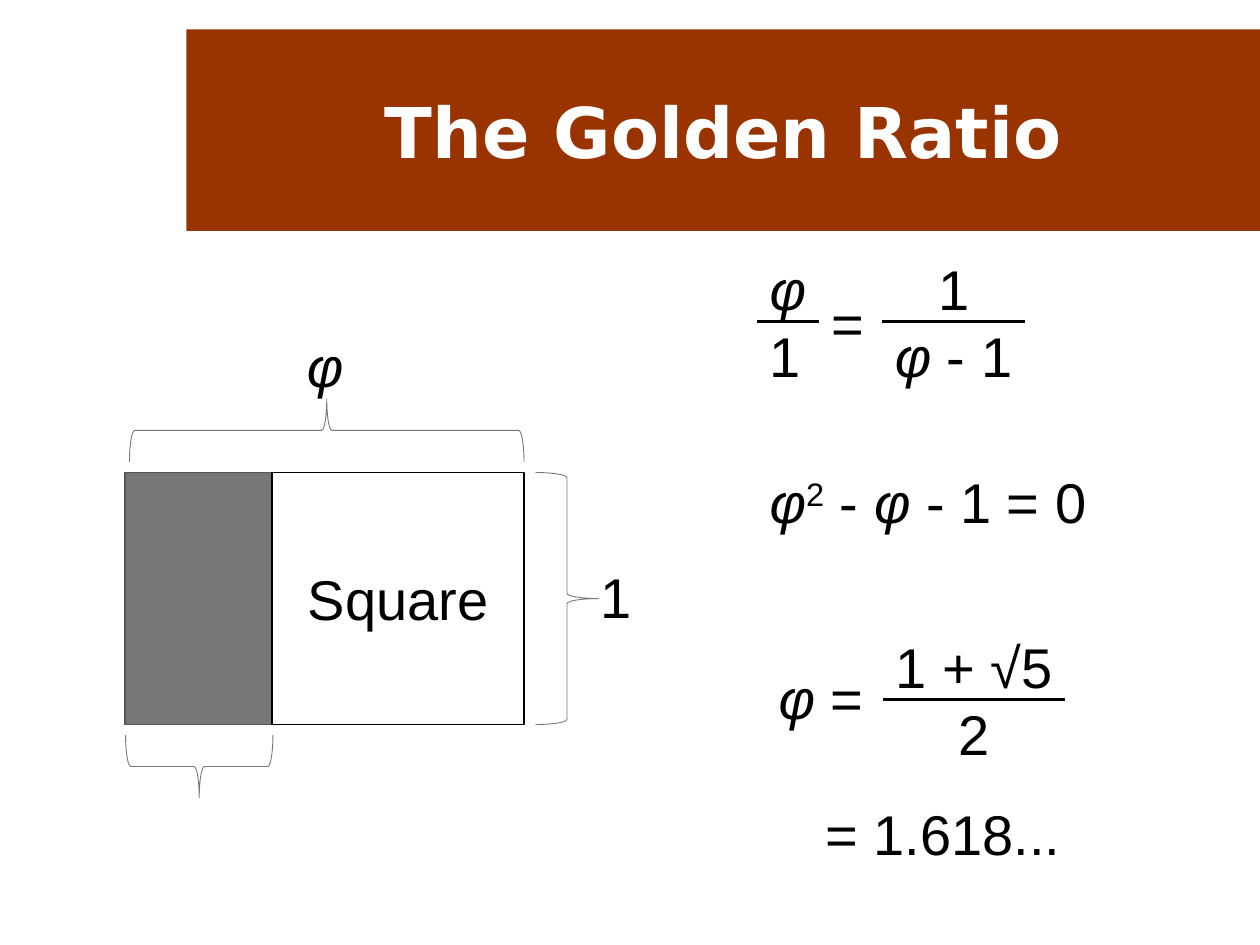
from dataclasses import dataclass

from lxml import etree
from pptx import Presentation
from pptx.dml.color import RGBColor
from pptx.enum import shapes, text
from pptx.oxml import ns
from pptx.util import Pt

COLORS = {"banner": "993300", "white": "FFFFFF", "black": "000000",
          "gray": "777777", "edge": "565656"}
BODY_FONT, BODY_SIZE = "Arial", 32
PHI = "φ"
LEFT, CENTER = text.PP_ALIGN.LEFT, text.PP_ALIGN.CENTER


@dataclass(frozen=True)
class Box:
    left: float
    top: float
    width: float
    height: float

    def lengths(self) -> list:
        return [Pt(v) for v in (self.left, self.top, self.width, self.height)]


@dataclass(frozen=True)
class Formula:
    box: Box
    lines: tuple
    align: text.PP_ALIGN = LEFT
    fraction: bool = False


@dataclass(frozen=True)
class Brace:
    center_x: float
    center_y: float
    span: float
    rotation: int
    depth: float = 36


RECTANGLE = Box(71.28, 270, 84.24, 144)
SQUARE = Box(155.52, 270, 144, 144)
BRACES = (
    Brace(186.7, 246, 225.4, 90),
    Brace(113.9, 438, 84.2, 270),
    Brace(324, 342, 144, 180),
)
FORMULAS = (
    Formula(Box(168.3, 185.8, 35.3, 46), ((PHI,),)),
    Formula(Box(336, 318, 32.4, 46), (("1",),)),
    Formula(Box(432.7, 141.8, 35.3, 84.2), ((PHI,), ("1",)), fraction=True),
    Formula(Box(504, 141.8, 81.9, 84.2), (("1",), (PHI, " - 1")), CENTER, True),
    Formula(Box(468, 161.5, 33.1, 46), (("=",),)),
    Formula(Box(432.7, 263.5, 195.1, 46), ((PHI, "²", " - ", PHI, " - 1 = 0"),)),
    Formula(Box(504.7, 357.8, 103.7, 84.2), (("1 + √5",), ("2",)), CENTER, True),
    Formula(Box(437.8, 375.8, 175.7, 122.4), ((PHI, " ="), ("= 1.618...",))),
)


def color(name: str) -> RGBColor:
    return RGBColor.from_string(COLORS[name])


def add_run(paragraph, words: str, size: float = BODY_SIZE, font: str = BODY_FONT,
            ink: str = "black", bold: bool = False) -> None:
    run = paragraph.add_run()
    run.text = "2" if words == "²" else words
    run.font.size, run.font.name = Pt(size), font
    run.font.bold, run.font.italic = bold, words == PHI
    run.font.color.rgb = color(ink)
    if words == "²":
        run.font._element.set("baseline", "30000")


def add_rectangle(slide, box: Box, fill: str | None, edge: str | None, weight: float = 1):
    rectangle = slide.shapes.add_shape(shapes.MSO_SHAPE.RECTANGLE, *box.lengths())
    rectangle.shadow.inherit = False
    if fill:
        rectangle.fill.solid()
        rectangle.fill.fore_color.rgb = color(fill)
    else:
        rectangle.fill.background()
    if edge:
        rectangle.line.color.rgb = color(edge)
        rectangle.line.width = Pt(weight)
    else:
        rectangle.line.fill.background()
    rectangle.text_frame.vertical_anchor = text.MSO_ANCHOR.MIDDLE
    rectangle.text_frame.paragraphs[0].alignment = CENTER
    return rectangle


def add_brace(slide, brace: Brace) -> None:
    box = Box(brace.center_x - brace.depth / 2, brace.center_y - brace.span / 2,
              brace.depth, brace.span)
    outline = slide.shapes.add_shape(shapes.MSO_SHAPE.LEFT_BRACE, *box.lengths())
    outline.rotation = brace.rotation
    outline.shadow.inherit = False
    outline.fill.background()
    outline.line.color.rgb = color("gray")
    outline.line.width = Pt(0.5)


def add_fraction_bar(slide, fraction) -> None:
    bar = slide.shapes.add_connector(shapes.MSO_CONNECTOR.STRAIGHT, 0, 0, 0, 0)
    bar.begin_connect(fraction, 1)
    bar.end_connect(fraction, 3)
    bar.line.color.rgb = color("black")
    bar.line.width = Pt(1.5)
    etree.SubElement(bar._element.spPr, ns.qn("a:effectLst"))


def add_formula(slide, formula: Formula):
    expression = slide.shapes.add_textbox(*formula.box.lengths())
    frame = expression.text_frame
    frame.word_wrap = True
    frame.auto_size = text.MSO_AUTO_SIZE.NONE
    frame.margin_left = Pt(7.2 if formula.align == LEFT else 0)
    frame.margin_right = Pt(0)
    for index, line in enumerate(formula.lines):
        paragraph = frame.paragraphs[0] if index == 0 else frame.add_paragraph()
        paragraph.alignment = formula.align
        for words in line:
            add_run(paragraph, words)
    if formula.fraction:
        add_fraction_bar(slide, expression)
    return expression


def main() -> None:
    """Build the golden ratio slide with its diagram and derivation."""
    deck = Presentation()
    deck.slide_width, deck.slide_height = Pt(720), Pt(540)
    slide = deck.slides.add_slide(deck.slide_layouts[6])

    banner = add_rectangle(slide, Box(106.5, 16.8, 613.5, 115.2), "banner", None)
    add_run(banner.text_frame.paragraphs[0], "The Golden Ratio", 40, "DejaVu Sans",
            "white", True)

    add_rectangle(slide, RECTANGLE, "gray", "edge")
    square = add_rectangle(slide, SQUARE, None, "black", 0.75)
    square.text_frame.word_wrap = False
    add_run(square.text_frame.paragraphs[0], "Square")

    for brace in BRACES:
        add_brace(slide, brace)
    solution = [add_formula(slide, formula) for formula in FORMULAS][-1]
    decimal = solution.text_frame.paragraphs[1]
    decimal.space_before = Pt(39)
    decimal._p.get_or_add_pPr().set("marL", str(Pt(26.7)))

    deck.save("out.pptx")


if __name__ == "__main__":
    main()
